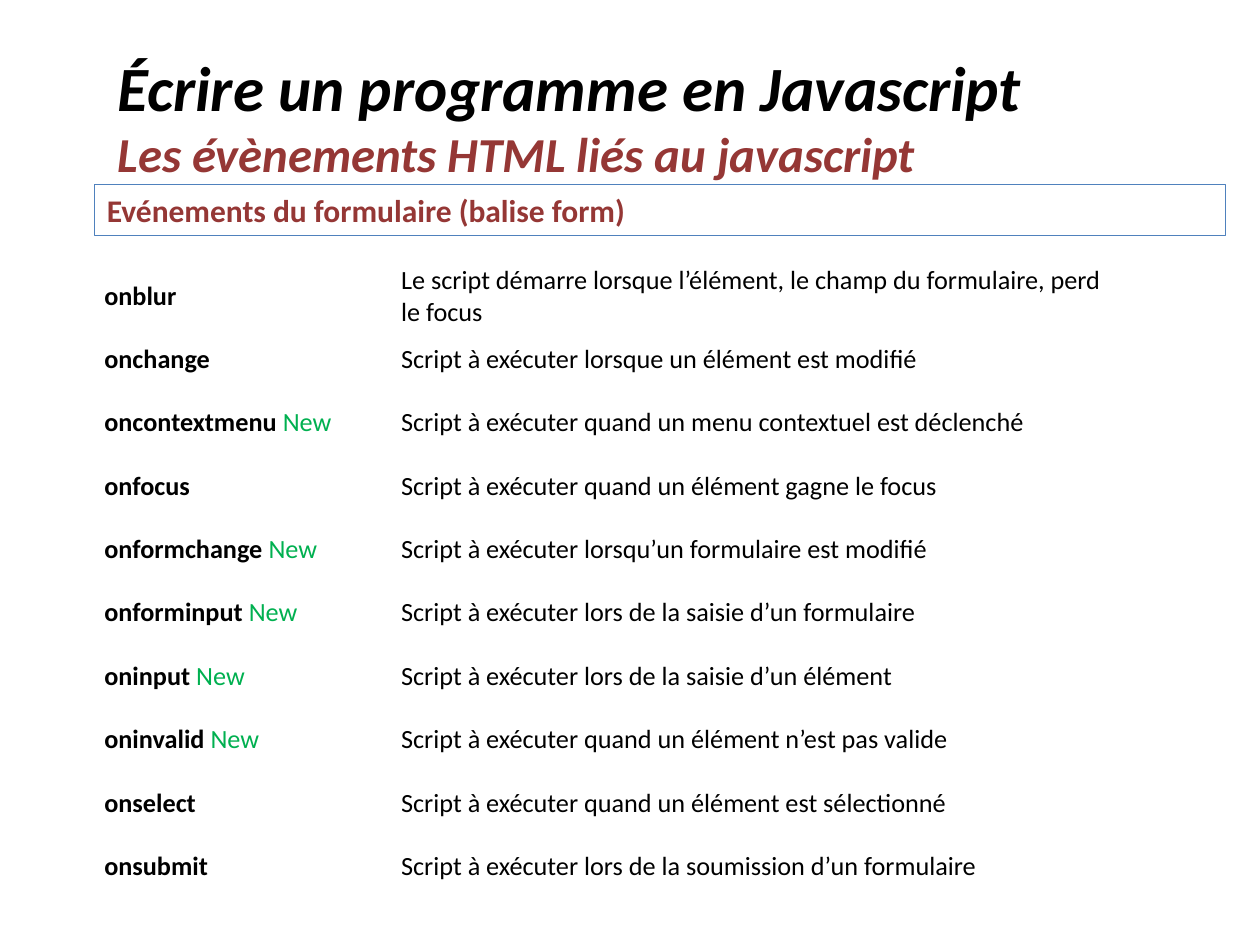
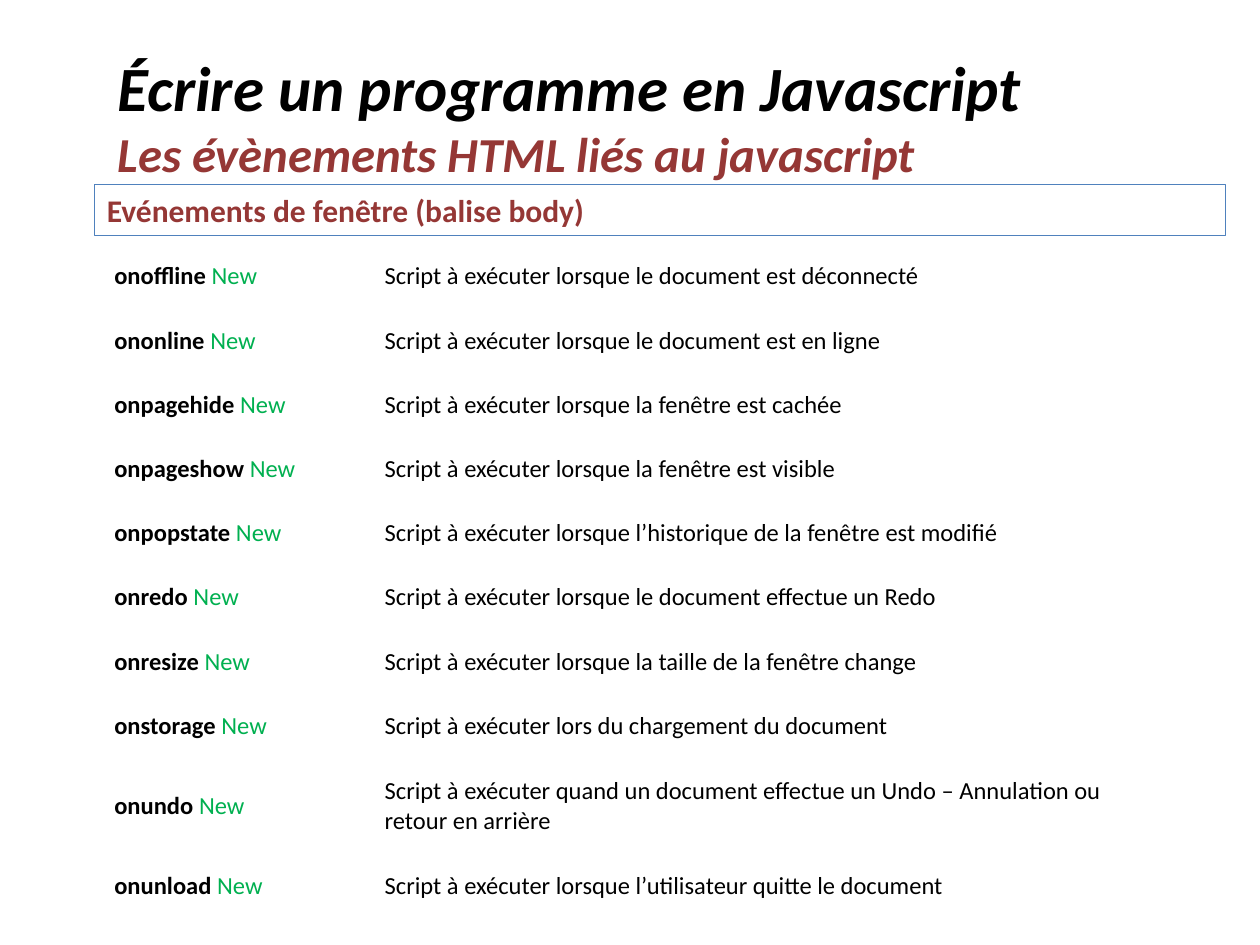
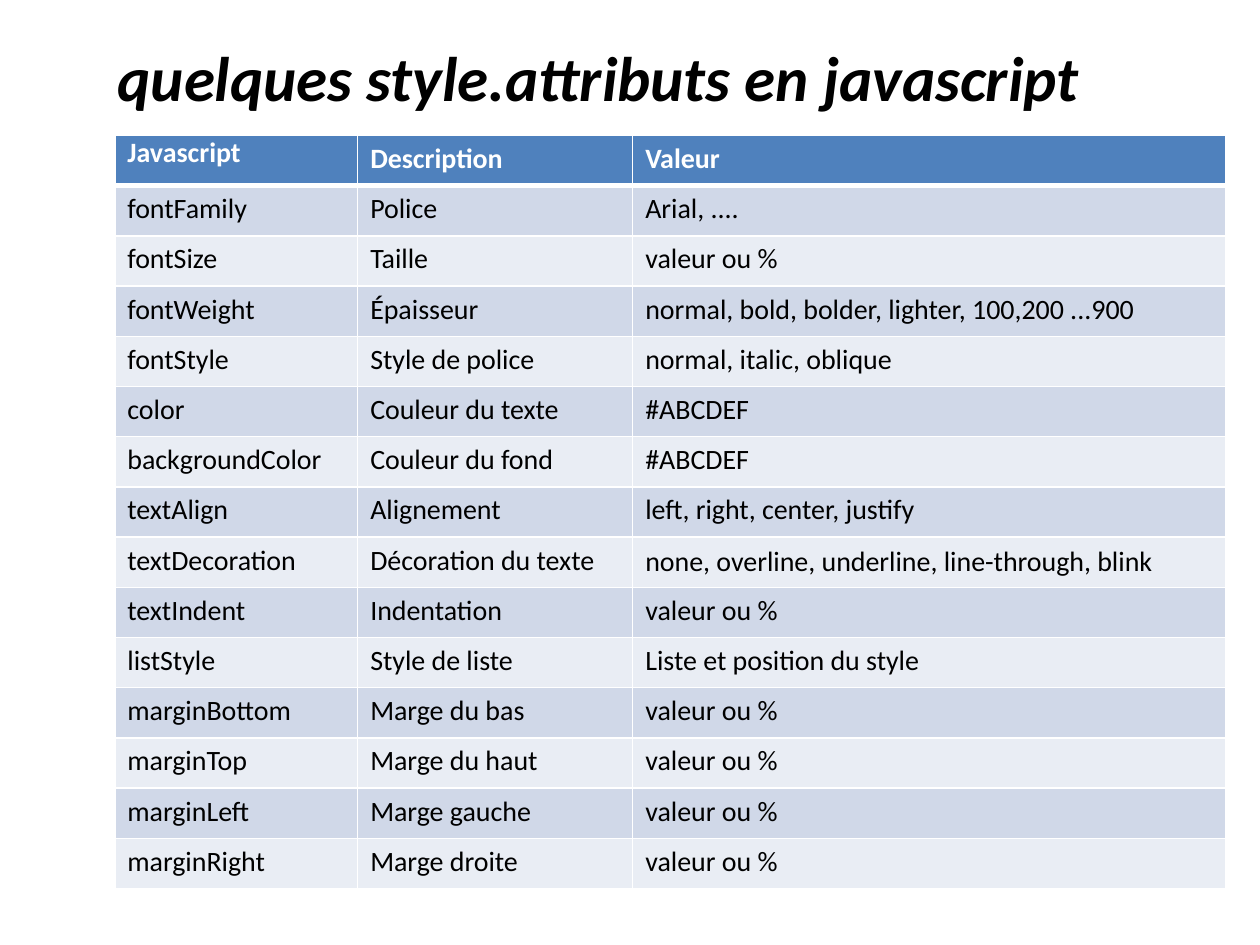
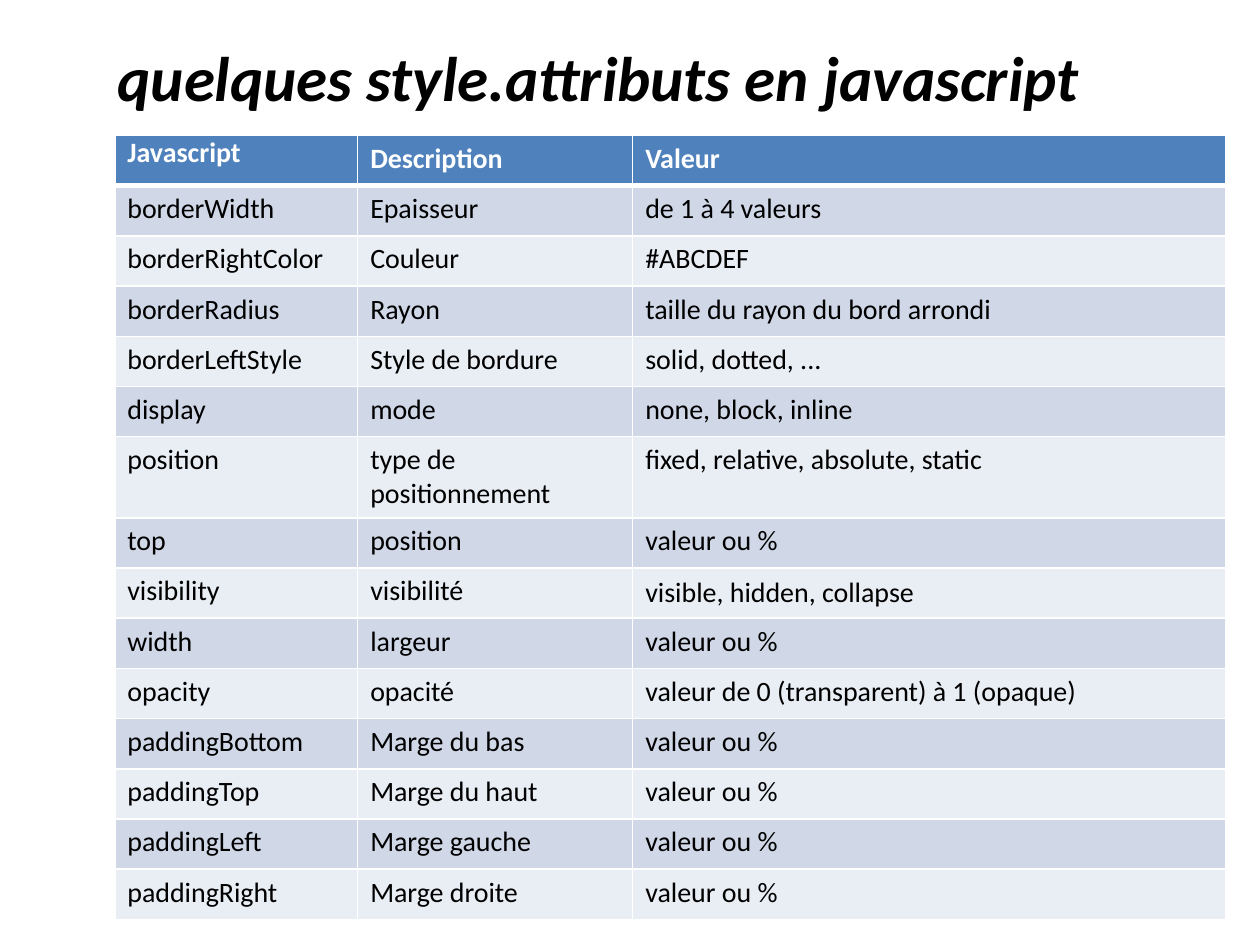
from pptx import Presentation
from pptx import util as u
from pptx.dml import color as dml
from pptx.enum import shapes, text
from pptx.oxml import parse_xml
from pptx.oxml.ns import nsdecls

COLOURS = {"black": "000000", "white": "FFFFFF", "red": "953735", "green": "00B050",
           "blue": "4F81BD", "dark band": "D0D8E8", "light band": "E9EDF4"}
FONT = "Calibri"
TITLE_LEFT, TITLE_TOP, TITLE_WIDTH = 60, 21, 636


def add_run(para, words, size, colour, bold=False, italic=False):
    span = para.add_run()
    span.text = words
    span.font.name = FONT
    span.font.size = u.Pt(size)
    span.font.bold = bold
    span.font.italic = italic
    span.font.color.rgb = dml.RGBColor.from_string(COLOURS[colour])


def add_titled_page(title, height, subtitle=None):
    page = deck.slides.add_slide(deck.slide_layouts[5])
    box = page.shapes.title
    box.left, box.top = u.Pt(TITLE_LEFT), u.Pt(TITLE_TOP)
    box.width, box.height = u.Pt(TITLE_WIDTH), u.Pt(height)
    frame = box.text_frame
    frame.auto_size = text.MSO_AUTO_SIZE.NONE
    frame.vertical_anchor = text.MSO_ANCHOR.MIDDLE
    para = frame.paragraphs[0]
    para.alignment = text.PP_ALIGN.LEFT
    add_run(para, title, 36, "black", True, True)
    if subtitle:
        para.add_line_break()
        add_run(para, subtitle, 27.9, "red", True, True)
    return page


deck = Presentation()
deck.slide_width, deck.slide_height = u.Pt(720), u.Pt(540)

# Event pages: heading, table place (left, top), column widths, row height,
# taller rows, text size, and rows of (event, is new, description)
event_pages = [
    ("Evénements du formulaire (balise form)", (59.6, 151.2), (169.6, 410.1), 36.2, {}, 15, [
        ("onblur", False,
         "Le script démarre lorsque l’élément, le champ du formulaire, perd le focus"),
        ("onchange", False, "Script à exécuter lorsque un élément est modifié"),
        ("oncontextmenu", True, "Script à exécuter quand un menu contextuel est déclenché"),
        ("onfocus", False, "Script à exécuter quand un élément gagne le focus"),
        ("onformchange", True, "Script à exécuter lorsqu’un formulaire est modifié"),
        ("onforminput", True, "Script à exécuter lors de la saisie d’un formulaire"),
        ("oninput", True, "Script à exécuter lors de la saisie d’un élément"),
        ("oninvalid", True, "Script à exécuter quand un élément n’est pas valide"),
        ("onselect", False, "Script à exécuter quand un élément est sélectionné"),
        ("onsubmit", False, "Script à exécuter lors de la soumission d’un formulaire"),
    ]),
    ("Evénements de fenêtre (balise body)", (65.3, 139.7), (154.5, 435), 36.7, {8: 54.9}, 14, [
        ("onoffline", True, "Script à exécuter lorsque le document est déconnecté"),
        ("ononline", True, "Script à exécuter lorsque le document est en ligne"),
        ("onpagehide", True, "Script à exécuter lorsque la fenêtre est cachée"),
        ("onpageshow", True, "Script à exécuter lorsque la fenêtre est visible"),
        ("onpopstate", True, "Script à exécuter lorsque l’historique de la fenêtre est modifié"),
        ("onredo", True, "Script à exécuter lorsque le document effectue un Redo"),
        ("onresize", True, "Script à exécuter lorsque la taille de la fenêtre change"),
        ("onstorage", True, "Script à exécuter lors du chargement du document"),
        ("onundo", True,
         "Script à exécuter quand un document effectue un Undo – Annulation ou retour en arrière"),
        ("onunload", True, "Script à exécuter lorsque l’utilisateur quitte le document"),
    ]),
]

for heading, (left, top), widths, row_height, tall_rows, size, events in event_pages:
    page = add_titled_page("Écrire un programme en Javascript", 90,
                           "Les évènements HTML liés au javascript")

    # Framed heading
    box = page.shapes.add_shape(shapes.MSO_SHAPE.RECTANGLE,
                                u.Pt(54), u.Pt(105.5), u.Pt(646.3), u.Pt(29.1))
    box.shadow.inherit = False
    box.fill.background()
    box.line.color.rgb = dml.RGBColor.from_string(COLOURS["blue"])
    box.line.width = u.Pt(0.75)
    frame = box.text_frame
    frame.word_wrap = True
    frame.auto_size = text.MSO_AUTO_SIZE.SHAPE_TO_FIT_TEXT
    frame.vertical_anchor = text.MSO_ANCHOR.TOP
    frame.paragraphs[0].alignment = text.PP_ALIGN.LEFT
    add_run(frame.paragraphs[0], heading, 18, "red", True)

    # Event table
    heights = [tall_rows.get(number, row_height) for number in range(len(events))]
    table = page.shapes.add_table(len(events), 2, u.Pt(left), u.Pt(top),
                                  u.Pt(sum(widths)), u.Pt(sum(heights))).table
    table.first_row = table.horz_banding = False
    for column, width in zip(table.columns, widths):
        column.width = u.Pt(width)
    for row, height, (event, is_new, description) in zip(table.rows, heights, events):
        row.height = u.Pt(height)
        for cell in row.cells:
            cell.fill.background()
            cell.vertical_anchor = text.MSO_ANCHOR.MIDDLE
            cell.margin_left = cell.margin_top = cell.margin_right = cell.margin_bottom = 0
        name_para, description_para = (cell.text_frame.paragraphs[0] for cell in row.cells)
        add_run(name_para, event + " " if is_new else event, size, "black", True)
        if is_new:
            add_run(name_para, "New", size, "green")
        add_run(description_para, description, size, "black")

# Attribute pages: rows of (attribute, description, value)
SIZE_VALUE = "valeur ou %"
SIDES = [("Bottom", "Marge du bas"), ("Top", "Marge du haut"),
         ("Left", "Marge gauche"), ("Right", "Marge droite")]
attribute_pages = [
    ("margin", [
        ("fontFamily", "Police", "Arial, ...."),
        ("fontSize", "Taille", SIZE_VALUE),
        ("fontWeight", "Épaisseur", "normal, bold, bolder, lighter, 100,200 ...900"),
        ("fontStyle", "Style de police", "normal, italic, oblique"),
        ("color", "Couleur du texte", "#ABCDEF"),
        ("backgroundColor", "Couleur du fond", "#ABCDEF"),
        ("textAlign", "Alignement", "left, right, center, justify"),
        ("textDecoration", "Décoration du texte",
         "none, overline, underline, line-through, blink"),
        ("textIndent", "Indentation", SIZE_VALUE),
        ("listStyle", "Style de liste", "Liste et position du style"),
    ]),
    ("padding", [
        ("borderWidth", "Epaisseur", "de 1 à 4 valeurs"),
        ("borderRightColor", "Couleur", "#ABCDEF"),
        ("borderRadius", "Rayon", "taille du rayon du bord arrondi"),
        ("borderLeftStyle", "Style de bordure", "solid, dotted, ..."),
        ("display", "mode", "none, block, inline"),
        ("position", "type de positionnement", "fixed, relative, absolute, static"),
        ("top", "position", SIZE_VALUE),
        ("visibility", "visibilité", "visible, hidden, collapse"),
        ("width", "largeur", SIZE_VALUE),
        ("opacity", "opacité", "valeur de 0 (transparent) à 1 (opaque)"),
    ]),
]
WIDTHS = (138.8, 157.2, 338.7)
ROW_HEIGHT = 28.7
CENTRED_CELL = (8, 2)

for spacing, attributes in attribute_pages:
    page = add_titled_page("quelques style.attributs en javascript", 45)
    rows = [("Javascript", "Description", "Valeur")] + attributes
    rows += [(spacing + side, label, SIZE_VALUE) for side, label in SIDES]

    # Banded table with white rules
    table = page.shapes.add_table(len(rows), len(WIDTHS), u.Pt(65.6), u.Pt(77.4),
                                  u.Pt(sum(WIDTHS)), u.Pt(ROW_HEIGHT * len(rows))).table
    for column, width in zip(table.columns, WIDTHS):
        column.width = u.Pt(width)
    for number, words in enumerate(rows):
        table.rows[number].height = u.Pt(ROW_HEIGHT)
        is_header = number == 0
        band = "blue" if is_header else "dark band" if number % 2 else "light band"
        for place, entry in enumerate(words):
            cell = table.cell(number, place)
            add_run(cell.text_frame.paragraphs[0], entry, 16,
                    "white" if is_header else "black", is_header)
            if (number, place) == CENTRED_CELL:
                cell.vertical_anchor = text.MSO_ANCHOR.MIDDLE
            if (number, place) == (0, 0):
                cell.margin_top = cell.margin_bottom = 0
            # Borders come before the fill in the cell properties
            properties = cell._tc.get_or_add_tcPr()
            for edge in ("lnL", "lnR", "lnT", "lnB"):
                is_thick = (number, edge) in ((0, "lnB"), (1, "lnT"))
                properties.append(parse_xml(
                    f'<a:{edge} {nsdecls("a")} w="{u.Pt(3 if is_thick else 1)}"><a:solidFill>'
                    f'<a:srgbClr val="{COLOURS["white"]}"/></a:solidFill></a:{edge}>'))
            cell.fill.solid()
            cell.fill.fore_color.rgb = dml.RGBColor.from_string(COLOURS[band])

deck.save("out.pptx")
